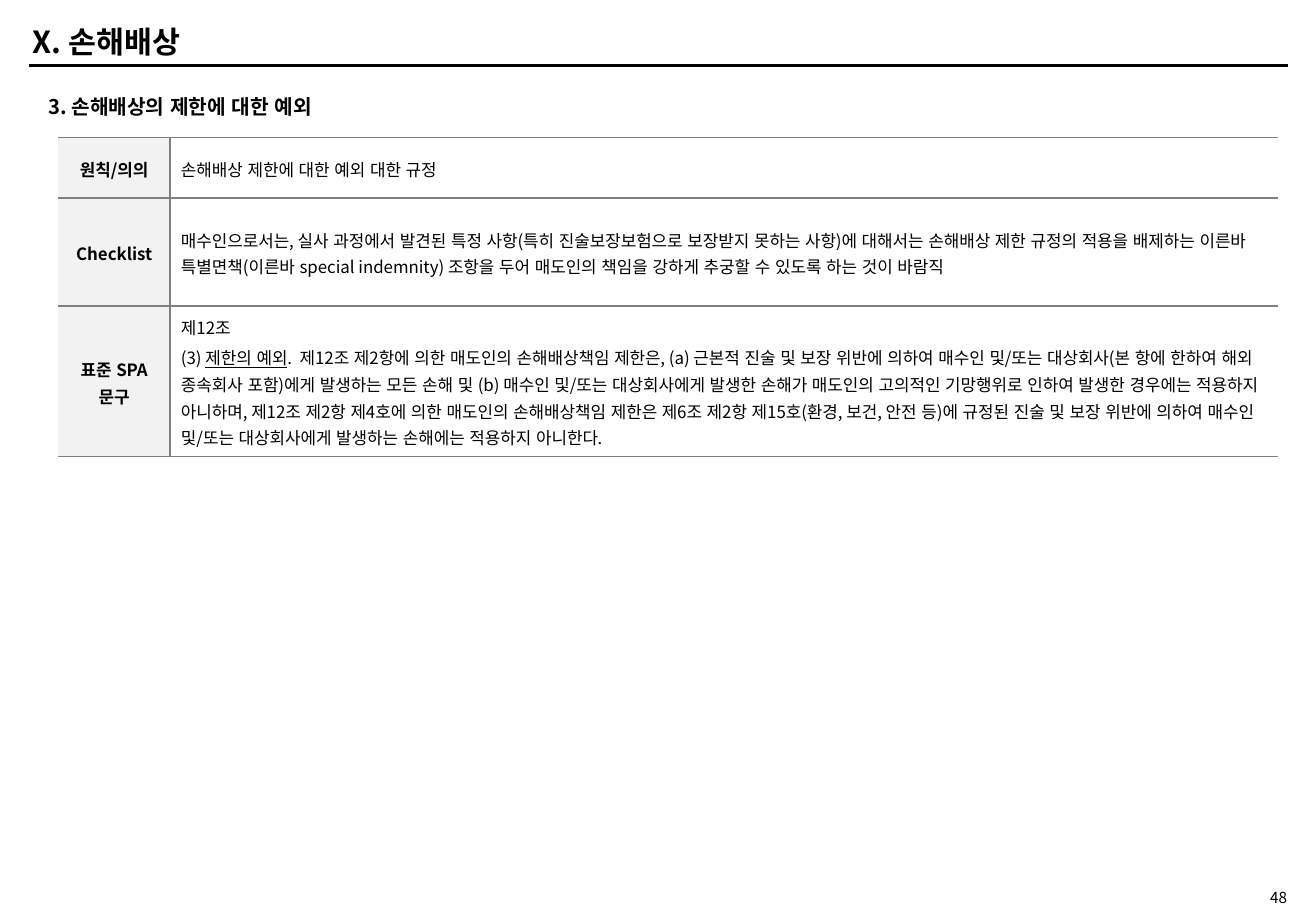
import pptx
import pptx.util
import pptx.dml.color
import pptx.enum.lang
import pptx.enum.shapes
import pptx.enum.text
import pptx.oxml
import pptx.oxml.ns

Inches, Pt = pptx.util.Inches, pptx.util.Pt
RGB = pptx.dml.color.RGBColor.from_string
ALIGN = pptx.enum.text.PP_ALIGN
MIDDLE = pptx.enum.text.MSO_ANCHOR.MIDDLE
TOP = pptx.enum.text.MSO_ANCHOR.TOP

# Content: each paragraph is a list of (text, underlined) runs
TITLE = "X. 손해배상"
SUBTITLE = "3. 손해배상의 제한에 대한 예외"
PAGE = "48"
ROWS = [
    ("원칙/의의", [[("손해배상 제한에 대한 예외 대한 규정", False)]]),
    ("Checklist", [[(
        "매수인으로서는, 실사 과정에서 발견된 특정 사항(특히 진술보장보험으로 보장받지 못하는 사항)에 "
        "대해서는 손해배상 제한 규정의 적용을 배제하는 이른바 특별면책(이른바 special indemnity) 조항을 "
        "두어 매도인의 책임을 강하게 추궁할 수 있도록 하는 것이 바람직", False)]]),
    ("표준 SPA 문구", [
        [("제12조", False)],
        [("(3) ", False), ("제한의 예외", True), (
            ".  제12조 제2항에 의한 매도인의 손해배상책임 제한은, (a) 근본적 진술 및 보장 위반에 의하여 "
            "매수인 및/또는 대상회사(본 항에 한하여 해외 종속회사 포함)에게 발생하는 모든 손해 및 (b) 매수인 "
            "및/또는 대상회사에게 발생한 손해가 매도인의 고의적인 기망행위로 인하여 발생한 경우에는 적용하지 "
            "아니하며, 제12조 제2항 제4호에 의한 매도인의 손해배상책임 제한은 제6조 제2항 제15호(환경, 보건, "
            "안전 등)에 규정된 진술 및 보장 위반에 의하여 매수인 및/또는 대상회사에게 발생하는 손해에는 "
            "적용하지 아니한다.", False)],
    ]),
]

THEME = {
    "font": "Noto Sans CJK KR",
    "ink": "000000", "rule": "808080", "label": "F2F2F2",
    "title": 18, "subtitle": 12, "body": 10, "page": 9,
    "heavy": 2, "thin": 1,
}

# Layout in inches
WIDTH, HEIGHT = 10.83, 7.5
RULE_LEFT, RULE_RIGHT, RULE_TOP = 0.24, 10.6, 0.54
TABLE_LEFT, TABLE_TOP = 0.48, 1.13
COLS, ROW_HEIGHTS = [0.92, 9.12], [0.5, 0.89, 1.24]
LABEL_INSETS = (0.07, 0, 0.07, 0)
BODY_INSETS = (0.09, 0.05, 0.09, 0.05)
SIDES = ("left", "top", "right", "bottom")


def apply(obj, values):
    for name, value in values.items():
        setattr(obj, name, value)


def set_insets(obj, insets):
    apply(obj, {f"margin_{side}": Inches(v) for side, v in zip(SIDES, insets)})


def add_run(p, text, size, bold=False, underline=False):
    r = p.add_run()
    r.text = text
    apply(r.font, {"name": THEME["font"], "size": Pt(THEME[size]), "bold": bold,
                   "underline": underline,
                   "language_id": pptx.enum.lang.MSO_LANGUAGE_ID.KOREAN})
    r.font.color.rgb = RGB(THEME["ink"])
    ea = pptx.oxml.parse_xml(
        f'<a:ea {pptx.oxml.ns.nsdecls("a")} typeface="{THEME["font"]}"/>')
    r.font._element.find(pptx.oxml.ns.qn("a:latin")).addnext(ea)


def add_text(s, box, text, size, bold=True, align=ALIGN.LEFT, anchor=MIDDLE,
             insets=(0.1, 0.05, 0.1, 0.05)):
    tf = s.shapes.add_textbox(*map(Inches, box)).text_frame
    apply(tf, {"word_wrap": True, "vertical_anchor": anchor})
    set_insets(tf, insets)
    p = tf.paragraphs[0]
    p.alignment = align
    add_run(p, text, size, bold)


def set_borders(cell, sides):
    for i, side in enumerate(sides):
        ln = pptx.oxml.parse_xml(
            f'<a:ln{side} {pptx.oxml.ns.nsdecls("a")} w="{Pt(THEME["thin"])}">'
            f'<a:solidFill><a:srgbClr val="{THEME["rule"]}"/></a:solidFill></a:ln{side}>')
        cell._tc.get_or_add_tcPr().insert(i, ln)


def fill_cell(cell, paragraphs, is_label):
    cell.vertical_anchor = MIDDLE
    set_insets(cell, LABEL_INSETS if is_label else BODY_INSETS)
    tf = cell.text_frame
    for i, runs in enumerate(paragraphs):
        p = tf.add_paragraph() if i else tf.paragraphs[0]
        apply(p, {"line_spacing": 1.1,
                  "space_before": Pt(0 if is_label else 2),
                  "alignment": ALIGN.CENTER if is_label else ALIGN.LEFT})
        for text, underline in runs:
            add_run(p, text, "body", is_label, underline)
    if is_label:
        cell.fill.solid()
        cell.fill.fore_color.rgb = RGB(THEME["label"])
    else:
        cell.fill.background()
    set_borders(cell, "RTB" if is_label else "LTB")


def add_clause_table(s):
    frame = s.shapes.add_table(len(ROWS), len(COLS), *map(Inches, (
        TABLE_LEFT, TABLE_TOP, sum(COLS), sum(ROW_HEIGHTS))))
    table = frame.table
    apply(table, {"first_row": False, "horz_banding": False})
    # Built-in style without grid or fills
    table._tbl.tblPr.find(pptx.oxml.ns.qn("a:tableStyleId")).text = \
        "{2D5ABB26-0587-4C30-8999-92F81FD0307C}"
    for column, width in zip(table.columns, COLS):
        column.width = Inches(width)
    for i, (label, body) in enumerate(ROWS):
        table.rows[i].height = Inches(ROW_HEIGHTS[i])
        fill_cell(table.cell(i, 0), [[(label, False)]], True)
        fill_cell(table.cell(i, 1), body, False)


def main():
    prs = pptx.Presentation()
    apply(prs, {"slide_width": Inches(WIDTH), "slide_height": Inches(HEIGHT)})
    s = prs.slides.add_slide(prs.slide_layouts[6])

    # Header rule
    rule = s.shapes.add_connector(
        pptx.enum.shapes.MSO_CONNECTOR.STRAIGHT,
        *map(Inches, (RULE_LEFT, RULE_TOP, RULE_RIGHT, RULE_TOP)))
    rule.line.color.rgb = RGB(THEME["ink"])
    rule.line.width = Pt(THEME["heavy"])
    rule._element.spPr.append(pptx.oxml.parse_xml(
        f'<a:effectLst {pptx.oxml.ns.nsdecls("a")}/>'))

    # Headings, table and page number
    add_text(s, (0.17, 0.15, 3.28, 0.38), TITLE, "title")
    add_text(s, (0.3, 0.73, 8.18, 0.3), SUBTITLE, "subtitle", anchor=TOP)
    add_clause_table(s)
    add_text(s, (9.75, 7.31, 0.94, 0.15), PAGE, "page", bold=False,
             align=ALIGN.RIGHT, insets=(0.1, 0, 0.1, 0))
    prs.save("out.pptx")


if __name__ == "__main__":
    main()
